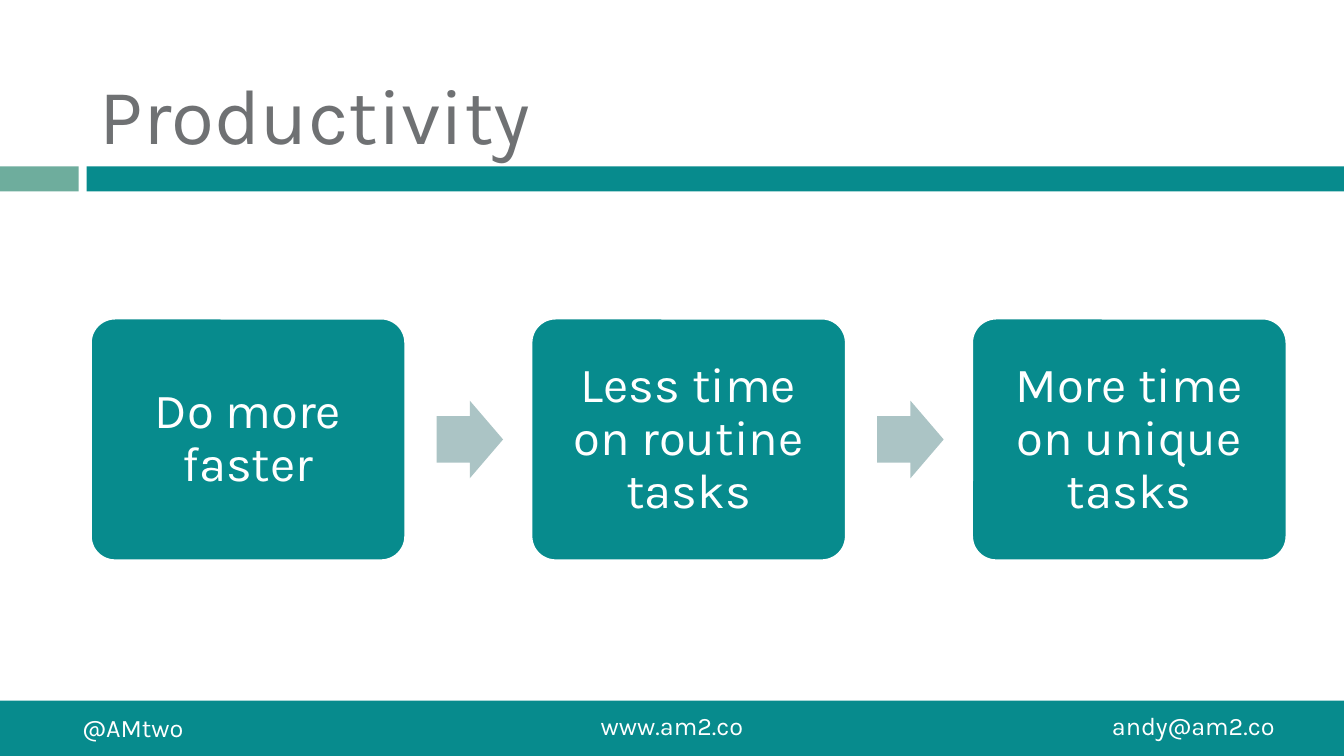
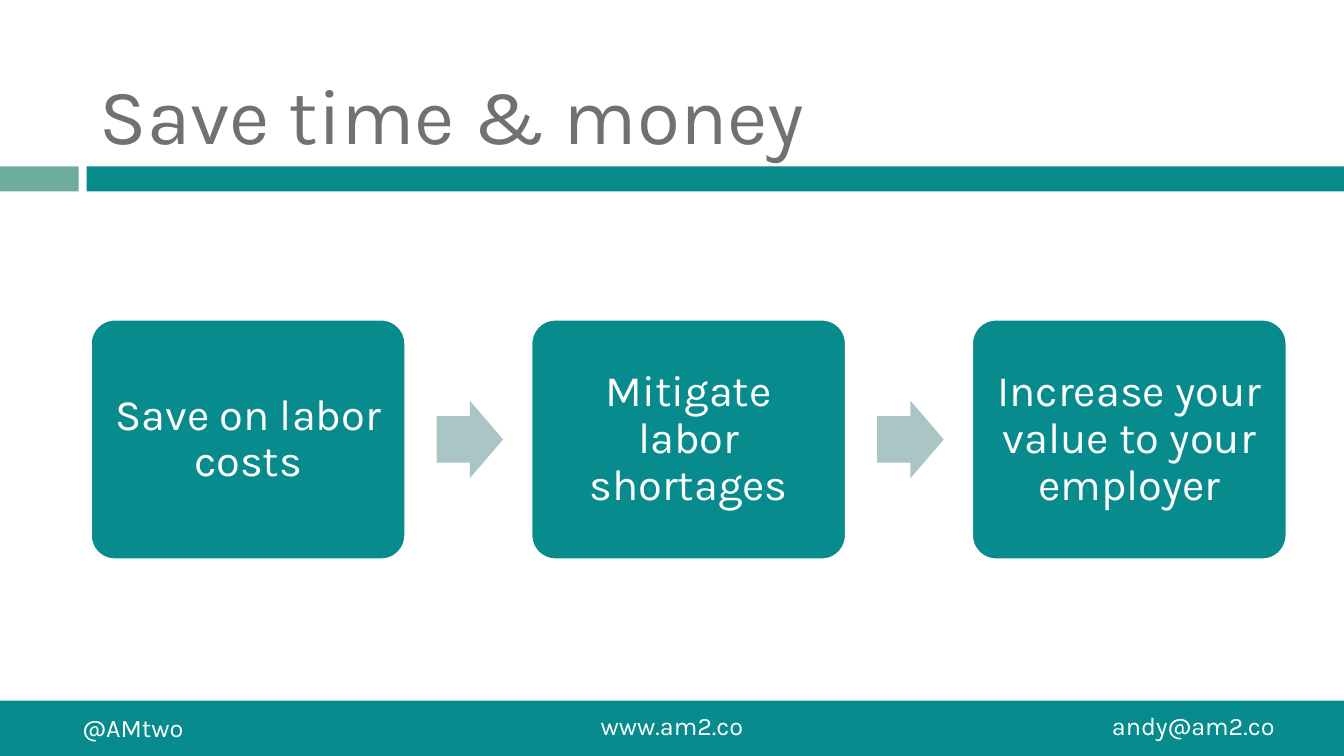
import pptx
import pptx.util
from dataclasses import dataclass
from pptx.dml.color import RGBColor
from pptx.enum.shapes import MSO_SHAPE
from pptx.enum.text import MSO_ANCHOR, MSO_AUTO_SIZE, PP_ALIGN
from pptx.util import Inches


@dataclass(frozen=True)
class Theme:
    font: str = "Karla"
    teal: str = "078B8D"
    sage: str = "6EAD9D"
    mist: str = "ABC4C5"
    gray: str = "6F7173"
    white: str = "FFFFFF"
    title_size: int = 56
    footer_size: int = 18
    large_step_size: int = 35
    small_step_size: int = 31


THEME = Theme()
SLIDE_WIDTH = 13.33
SLIDE_HEIGHT = 7.5
STEP_LEFT = 0.9
STEP_PITCH = 4.37
STEP_WIDTH = 3.12
ARROW_OFFSET = 3.43
ARROW_WIDTH = 0.66
ARROW_HEIGHT = 0.77
FLOW_MIDDLE = 4.36

FOOTERS = [
    ("@AMtwo", 0.72, 7.02, 1.3, PP_ALIGN.LEFT),
    ("www.am2.co", 5.74, 7, 1.85, PP_ALIGN.CENTER),
    ("andy@am2.co", 10.93, 7, 1.85, PP_ALIGN.LEFT),
]

SLIDES = [
    ("Productivity",
     ["Do more faster", "Less time on routine tasks", "More time on unique tasks"],
     THEME.large_step_size, 2.4, 0.15),
    ("Save time & money",
     ["Save on labor costs", "Mitigate labor shortages", "Increase your value to your employer"],
     THEME.small_step_size, 2.38, 0.13),
]


class Deck:
    def __init__(self, theme):
        self.theme = theme
        self.presentation = pptx.Presentation()
        self.presentation.slide_width = Inches(SLIDE_WIDTH)
        self.presentation.slide_height = Inches(SLIDE_HEIGHT)
        self.slide = None

    def add_slide(self, title):
        layout = self.presentation.slide_layouts.get_by_name("Title Only")
        self.slide = self.presentation.slides.add_slide(layout)
        self.add_bands()
        self.add_footers()
        self.set_title(title)

    def set_text(self, shape, text, size, color, alignment, anchor):
        frame = shape.text_frame
        frame.text = text
        frame.word_wrap = True
        frame.auto_size = MSO_AUTO_SIZE.NONE
        frame.vertical_anchor = anchor
        paragraph = frame.paragraphs[0]
        paragraph.alignment = alignment
        font = paragraph.runs[0].font
        font.name = self.theme.font
        font.size = pptx.util.Pt(size)
        font.color.rgb = RGBColor.from_string(color)
        return paragraph

    def set_title(self, text):
        title = self.slide.shapes.title
        title.left, title.top = Inches(0.89), Inches(0.17)
        title.width, title.height = Inches(11.89), Inches(1.47)
        self.set_text(title, text, self.theme.title_size, self.theme.gray,
                      PP_ALIGN.LEFT, MSO_ANCHOR.BOTTOM)

    def add_block(self, kind, left, top, width, height, color):
        shape = self.slide.shapes.add_shape(
            kind, Inches(left), Inches(top), Inches(width), Inches(height))
        shape.shadow.inherit = False
        shape.fill.solid()
        shape.fill.fore_color.rgb = RGBColor.from_string(color)
        shape.line.fill.background()
        return shape

    def add_bands(self):
        self.add_block(MSO_SHAPE.RECTANGLE, 0, 1.65, 0.78, 0.25, self.theme.sage)
        self.add_block(MSO_SHAPE.RECTANGLE, 0.86, 1.65, SLIDE_WIDTH - 0.86, 0.25, self.theme.teal)
        self.add_block(MSO_SHAPE.RECTANGLE, 0, 6.95, SLIDE_WIDTH, 0.55, self.theme.teal)

    def add_footers(self):
        for text, left, top, width, alignment in FOOTERS:
            box = self.slide.shapes.add_textbox(
                Inches(left), Inches(top), Inches(width), Inches(0.4))
            self.set_text(box, text, self.theme.footer_size, self.theme.white,
                          alignment, MSO_ANCHOR.TOP)

    def add_step(self, left, text, size, height, margin):
        step = self.add_block(MSO_SHAPE.ROUNDED_RECTANGLE, left, FLOW_MIDDLE - height / 2,
                              STEP_WIDTH, height, self.theme.teal)
        step.adjustments[0] = 0.1
        step.line.color.rgb = RGBColor.from_string(self.theme.white)
        step.line.width = pptx.util.Pt(1.5)
        paragraph = self.set_text(step, text, size, self.theme.white,
                                  PP_ALIGN.CENTER, MSO_ANCHOR.MIDDLE)
        paragraph.line_spacing = 0.9
        frame = step.text_frame
        frame.margin_left = frame.margin_right = Inches(margin)
        frame.margin_top = frame.margin_bottom = Inches(margin)

    def add_arrow(self, left):
        arrow = self.add_block(MSO_SHAPE.RIGHT_ARROW, left, FLOW_MIDDLE - ARROW_HEIGHT / 2,
                               ARROW_WIDTH, ARROW_HEIGHT, self.theme.mist)
        arrow.adjustments[0] = 0.6
        arrow.adjustments[1] = 0.5

    def add_flow(self, steps, size, height, margin):
        for index, text in enumerate(steps):
            left = STEP_LEFT + index * STEP_PITCH
            self.add_step(left, text, size, height, margin)
            if index < len(steps) - 1:
                self.add_arrow(left + ARROW_OFFSET)


def main():
    deck = Deck(THEME)
    for title, steps, size, height, margin in SLIDES:
        deck.add_slide(title)
        deck.add_flow(steps, size, height, margin)
    deck.presentation.save("out.pptx")


if __name__ == "__main__":
    main()
